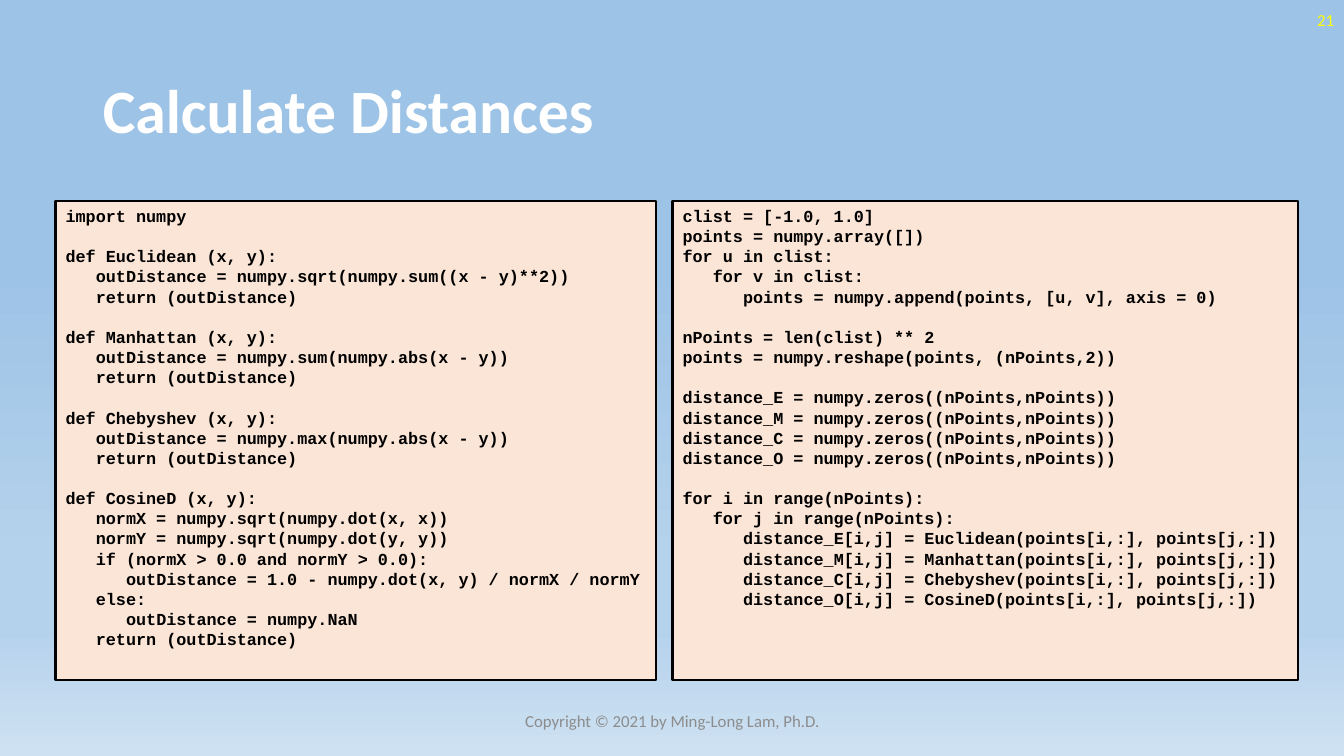
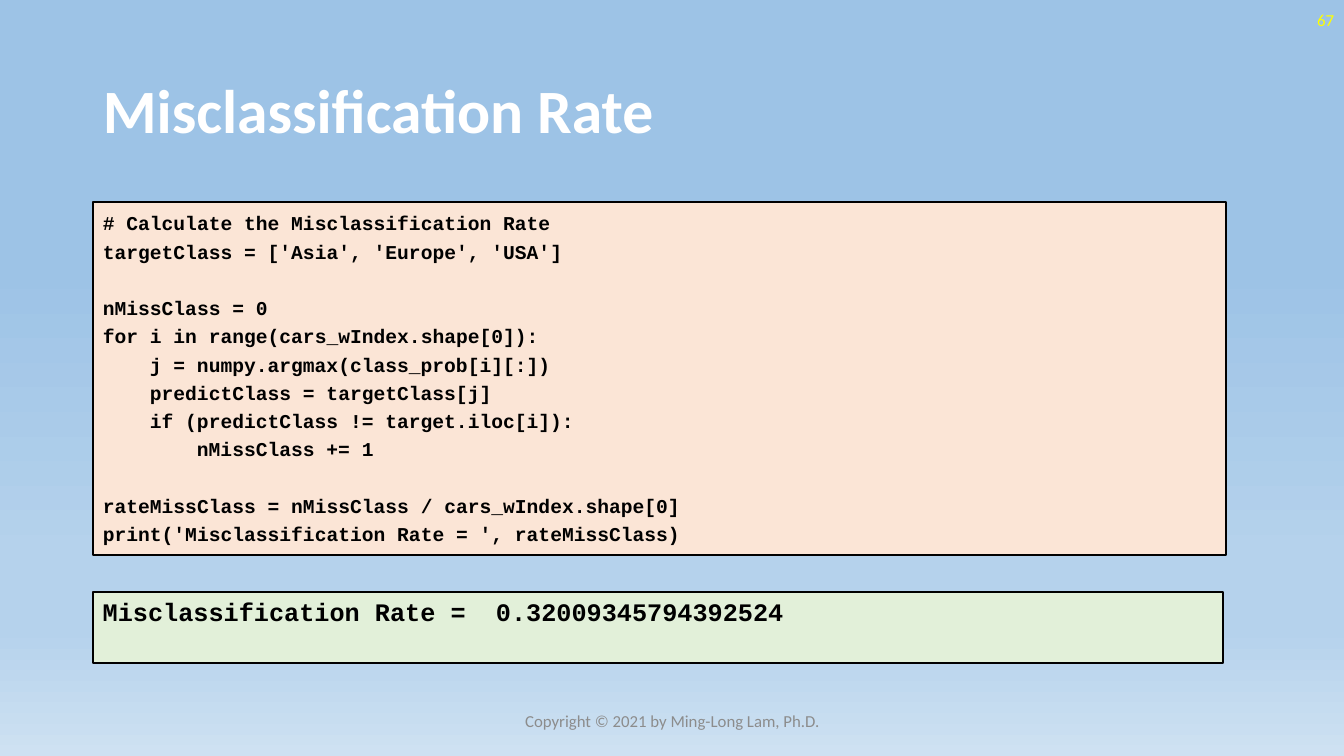
import dataclasses
import itertools

import lxml.etree
import pptx
import pptx.dml.color
import pptx.enum.text
import pptx.oxml.ns
import pptx.util

ALIGN = pptx.enum.text.PP_ALIGN
ANCHOR = pptx.enum.text.MSO_ANCHOR
FOOTER = "Copyright © 2021 by Ming-Long Lam, Ph.D."


@dataclasses.dataclass(frozen=True)
class Theme:
    """Colours, fonts and type sizes shared by the slides."""
    sky: tuple = ((35, "9DC3E6"), (74, "B5D2EC"), (83, "B5D2EC"), (100, "CEE1F2"))
    title: str = "FFFFFF"
    number: str = "FFFF00"
    footer: str = "8C8C8C"
    ink: str = "000000"
    code_fill: str = "FBE5D6"
    output_fill: str = "E2F0D9"
    sans: str = "Calibri"
    mono: str = "Courier New"
    title_size: int = 44
    small_size: int = 12
    border: float = 1.5
    char_width: float = 0.6
    single: float = 1.2
    loose: float = 1.44


THEME = Theme()

DISTANCE_FUNCTIONS = """\
import numpy

def Euclidean (x, y):
   outDistance = numpy.sqrt(numpy.sum((x - y)**2))
   return (outDistance)

def Manhattan (x, y):
   outDistance = numpy.sum(numpy.abs(x - y))
   return (outDistance)

def Chebyshev (x, y):
   outDistance = numpy.max(numpy.abs(x - y))
   return (outDistance)

def CosineD (x, y):
   normX = numpy.sqrt(numpy.dot(x, x))
   normY = numpy.sqrt(numpy.dot(y, y))
   if (normX > 0.0 and normY > 0.0):
      outDistance = 1.0 - numpy.dot(x, y) / normX / normY
   else:
      outDistance = numpy.NaN
   return (outDistance)"""

DISTANCE_LOOPS = """\
clist = [-1.0, 1.0]
points = numpy.array([])
for u in clist:
   for v in clist:
      points = numpy.append(points, [u, v], axis = 0)

nPoints = len(clist) ** 2
points = numpy.reshape(points, (nPoints,2))

distance_E = numpy.zeros((nPoints,nPoints))
distance_M = numpy.zeros((nPoints,nPoints))
distance_C = numpy.zeros((nPoints,nPoints))
distance_O = numpy.zeros((nPoints,nPoints))

for i in range(nPoints):
   for j in range(nPoints):
      distance_E[i,j] = Euclidean(points[i,:], points[j,:])
      distance_M[i,j] = Manhattan(points[i,:], points[j,:])
      distance_C[i,j] = Chebyshev(points[i,:], points[j,:])
      distance_O[i,j] = CosineD(points[i,:], points[j,:])"""

RATE_CODE = """\
# Calculate the Misclassification Rate
targetClass = ['Asia', 'Europe', 'USA']

nMissClass = 0
for i in range(cars_wIndex.shape[0]):
    j = numpy.argmax(class_prob[i][:])
    predictClass = targetClass[j]
    if (predictClass != target.iloc[i]):
        nMissClass += 1

rateMissClass = nMissClass / cars_wIndex.shape[0]
print('Misclassification Rate = ', rateMissClass)"""

RATE_OUTPUT = "Misclassification Rate =  0.32009345794392524"


def rgb(value):
    """Return a colour from its hex text."""
    return pptx.dml.color.RGBColor.from_string(value)


def assign(target, values):
    """Set each attribute named in values."""
    for name, value in values.items():
        setattr(target, name, value)


def place(sp, box):
    """Move a shape to a box of inches: left, top, width, height."""
    names = ("left", "top", "width", "height")
    assign(sp, dict(zip(names, map(pptx.util.Inches, box))))


def write(p, text, color, size, **font):
    """Add one formatted run to a paragraph."""
    r = p.add_run()
    r.text = text
    assign(r.font, {"name": THEME.sans, "size": pptx.util.Pt(size), **font})
    r.font.color.rgb = rgb(color)


def label(sp, box, text, color, size, align, spacing=1.0, **font):
    """Write one vertically centred line in a shape."""
    place(sp, box)
    tf = sp.text_frame
    assign(tf, {"word_wrap": True, "vertical_anchor": ANCHOR.MIDDLE,
                "auto_size": pptx.enum.text.MSO_AUTO_SIZE.NONE})
    p = tf.paragraphs[0]
    assign(p, {"alignment": align, "line_spacing": spacing})
    write(p, text, color, size, **font)


def code_panel(sp, box, code, size, fill=THEME.code_fill, pitch=THEME.single):
    """Fill a bordered panel with code, keeping its indents and gaps."""
    place(sp, box)
    sp.fill.solid()
    sp.fill.fore_color.rgb = rgb(fill)
    sp.line.color.rgb = rgb(THEME.ink)
    sp.line.width = pptx.util.Pt(THEME.border)
    tf = sp.text_frame
    assign(tf, {"word_wrap": True, "vertical_anchor": ANCHOR.TOP,
                "auto_size": pptx.enum.text.MSO_AUTO_SIZE.NONE})
    height = pptx.util.Pt(size * pitch)
    lines = code.split("\n")
    for before, line in zip(itertools.chain([None], lines), lines):
        if not line:
            continue
        p = tf.paragraphs[0] if before is None else tf.add_paragraph()
        assign(p, {"alignment": ALIGN.LEFT, "line_spacing": height,
                   "space_before": height if before == "" else pptx.util.Pt(0)})
        text = line.lstrip()
        indent = pptx.util.Pt((len(line) - len(text)) * size * THEME.char_width)
        pPr = p._p.get_or_add_pPr()
        pPr.set("marL", str(int(indent)))
        pPr.set("indent", "0")
        lxml.etree.SubElement(pPr, pptx.oxml.ns.qn("a:buNone"))
        write(p, text, THEME.ink, size, name=THEME.mono, bold=True)


def paint_background(master):
    """Give the slide master the sky gradient."""
    qn = pptx.oxml.ns.qn
    fill = master.background.fill
    fill.gradient()
    fill.gradient_angle = 270
    stops = master.element.find(".//" + qn("a:gsLst"))
    for stop in list(stops):
        stops.remove(stop)
    for position, color in THEME.sky:
        stop = lxml.etree.SubElement(stops, qn("a:gs"), pos=str(position * 1000))
        lxml.etree.SubElement(stop, qn("a:srgbClr"), val=color)


def add_textbox(s):
    """Add an empty text box, to be placed later."""
    return s.shapes.add_textbox(0, 0, 0, 0)


def new_slide(prs, layout, title, number):
    """Add a slide with its title, number and footer."""
    s = prs.slides.add_slide(prs.slide_layouts.get_by_name(layout))
    label(s.shapes.title, (0.92, 0.4, 11.5, 1.45), title, THEME.title,
          THEME.title_size, ALIGN.LEFT, 0.9, bold=True)
    label(add_textbox(s), (10.33, 0, 3, 0.4), str(number), THEME.number,
          THEME.small_size, ALIGN.RIGHT)
    label(add_textbox(s), (4.42, 6.95, 4.5, 0.4), FOOTER, THEME.footer,
          THEME.small_size, ALIGN.CENTER)
    return s


def distances_slide(prs):
    """Build the slide with two code panels side by side."""
    s = new_slide(prs, "Two Content", "Calculate Distances", 21)
    code_panel(s.placeholders[1], (0.55, 1.99, 5.96, 4.76), DISTANCE_FUNCTIONS, 12)
    code_panel(s.placeholders[2], (6.67, 1.99, 6.2, 4.76), DISTANCE_LOOPS, 12)


def rate_slide(prs):
    """Build the slide with code above its output."""
    s = new_slide(prs, "Title and Content", "Misclassification Rate", 67)
    code_panel(s.placeholders[1], (0.92, 2, 11.24, 3.51), RATE_CODE, 14,
               pitch=THEME.loose)
    code_panel(add_textbox(s), (0.92, 5.87, 11.21, 0.71), RATE_OUTPUT, 18,
               fill=THEME.output_fill)


def main():
    """Build and save the presentation."""
    prs = pptx.Presentation()
    assign(prs, {"slide_width": pptx.util.Inches(13.33),
                 "slide_height": pptx.util.Inches(7.5)})
    paint_background(prs.slide_master)
    distances_slide(prs)
    rate_slide(prs)
    prs.save("out.pptx")


if __name__ == "__main__":
    main()
